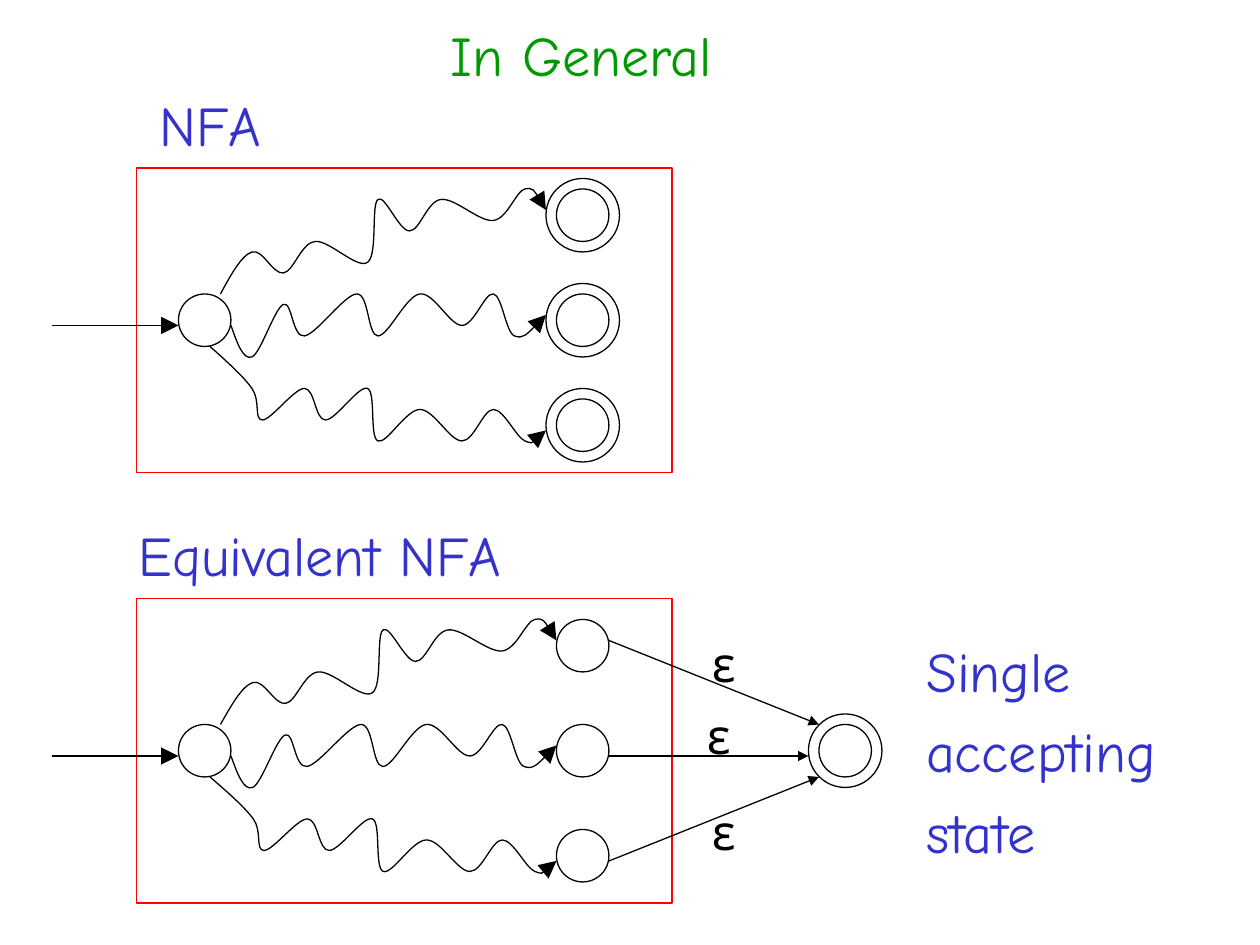
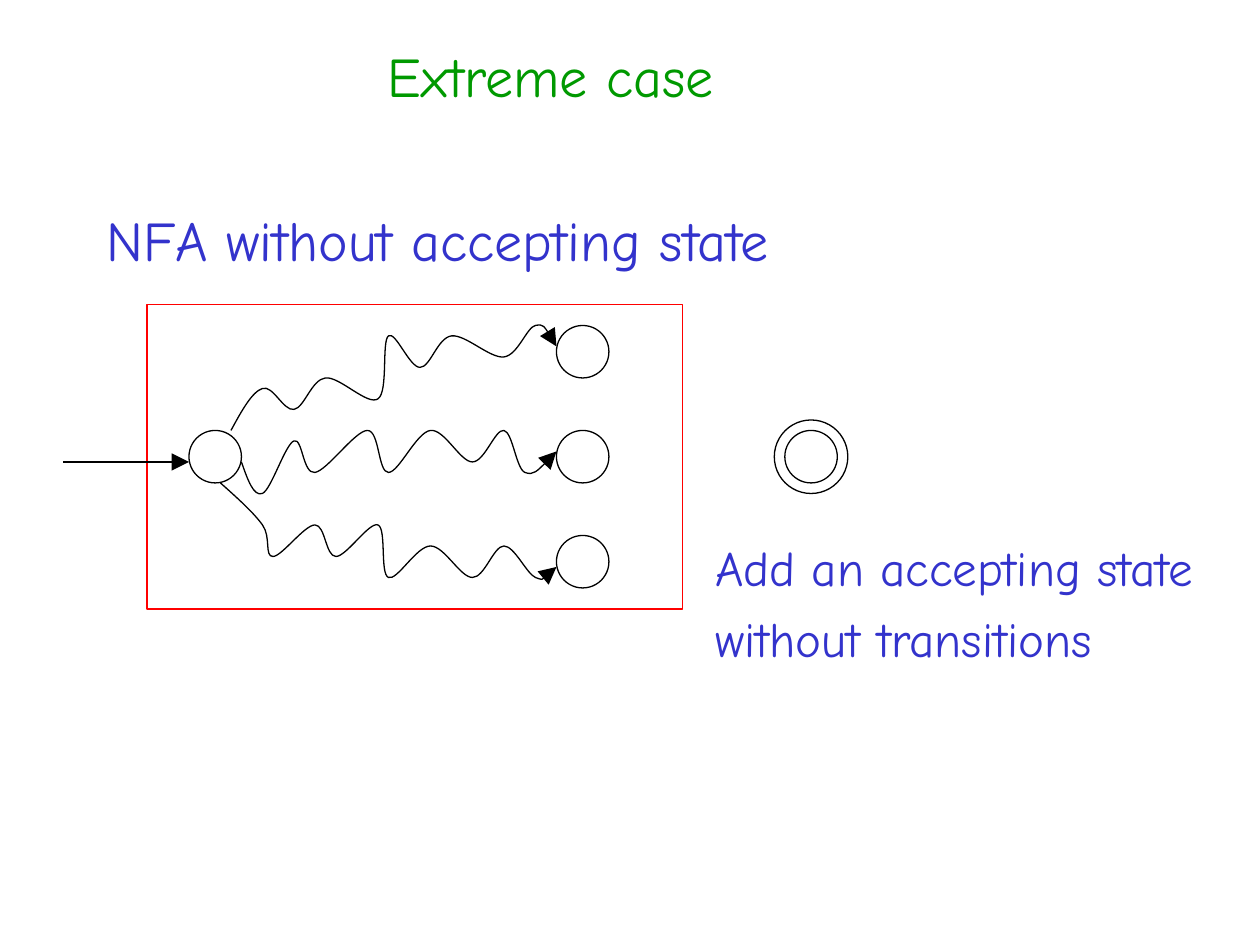
from dataclasses import dataclass

from lxml import etree
from pptx import Presentation
from pptx.dml.color import RGBColor
from pptx.enum.shapes import MSO_CONNECTOR, MSO_SHAPE
from pptx.enum.text import MSO_AUTO_SIZE
from pptx.oxml.ns import qn
from pptx.util import Cm, Pt

STRAIGHT = MSO_CONNECTOR.STRAIGHT
OVAL = MSO_SHAPE.OVAL
RECTANGLE = MSO_SHAPE.RECTANGLE
FIT_SHAPE = MSO_AUTO_SIZE.SHAPE_TO_FIT_TEXT


@dataclass(frozen=True)
class Theme:
    font: str = "Comic Neue"
    title: RGBColor = RGBColor(0x00, 0x99, 0x00)
    label: RGBColor = RGBColor(0x33, 0x33, 0xCC)
    ink: RGBColor = RGBColor(0x00, 0x00, 0x00)
    frame: RGBColor = RGBColor(0xFF, 0x00, 0x00)
    large: int = 32
    small: int = 28
    line: float = 0.75


theme = Theme()
GRID = 2.54 / 12  # diagrams sit on a grid of twelve steps to the inch
STATE, RING = 5, 7  # circle diameters in grid steps


def add_text(page, text, left, top, width, height, size=theme.large, colour=theme.label):
    """Place lines of text, with lengths in centimetres."""
    box = page.shapes.add_textbox(Cm(left), Cm(top), Cm(width), Cm(height))
    frame = box.text_frame
    frame.word_wrap = False
    frame.auto_size = FIT_SHAPE
    frame.text = text
    for para in frame.paragraphs:
        para.space_before = Pt(0.24 * size)
        para.font.name = theme.font
        para.font.size = Pt(size)
        para.font.color.rgb = colour


def style_line(item, colour=theme.ink, head=None):
    """Give a shape or connector a plain line, with an optional arrowhead."""
    item.line.color.rgb = colour
    item.line.width = Pt(theme.line)
    properties = item._element.spPr
    etree.SubElement(properties, qn("a:effectLst"))
    if head:
        etree.SubElement(properties.find(qn("a:ln")), qn("a:tailEnd"),
                         type="triangle", w=head, len=head)


deck = Presentation()
deck.slide_width, deck.slide_height = Cm(25.4), Cm(19.05)
general, extreme = [deck.slides.add_slide(deck.slide_layouts[6]) for _ in range(2)]

# Wavy paths from the start state to the three end states, in grid steps
WAVE_END = 52
waves = [
    [(21, 28), (24, 24), (27, 26), (30, 23), (35, 25), (36, 19),
     (39, 22), (42, 19), (47, 21), (50, 18), (52, 20)],
    [(22, 31), (24, 34), (27, 29), (29, 32), (34, 28), (36, 32),
     (40, 28), (44, 31), (47, 28), (49, 32), (52, 30)],
    [(20, 33), (24, 37), (25, 40), (29, 37), (31, 40), (35, 37),
     (36, 42), (40, 39), (44, 42), (47, 39), (50, 42), (52, 41)],
]

# Automata: page, shift right, shift down, whether the end states accept
automata = [(general, 0, 0, True), (general, 0, 41, False), (extreme, 1, 13, False)]
# Accepting states standing alone: page, left, top
lone_accepting = [(general, 78, 69), (extreme, 74.75, 41)]

outlines = []
arrows = []
for page, right, down, accepting in automata:
    outlines.append((page, RECTANGLE, 13 + right, 16 + down, 51, 29, theme.frame))
    states = [(17 + right, 28 + down)] + [(53, top + down) for top in (18, 28, 38)]
    outlines += [(page, OVAL, x, y, STATE, STATE, theme.ink) for x, y in states]
    if accepting:
        outlines += [(page, OVAL, x - 1, y - 1, RING, RING, theme.ink) for x, y in states[1:]]
    arrows.append((page, 5 + right, 31 + down, 17 + right, 31 + down, "lg"))

    # Smooth curves: each inner control lies a sixth of the neighbours' span away
    end = WAVE_END if accepting else WAVE_END + 1
    for wave in waves:
        first = wave[0][0]
        stretch = (end - first - right) / (WAVE_END - first)
        knots = [(first + right + (x - first) * stretch, y + down) for x, y in wave]
        slopes = [((c[0] - a[0]) / 6, (c[1] - a[1]) / 6) for a, c in zip(knots, knots[2:])]
        before = [(x - dx, y - dy) for (x, y), (dx, dy) in zip(knots[1:], slopes)]
        after = [(x + dx, y + dy) for (x, y), (dx, dy) in zip(knots[1:], slopes)]
        # The outermost controls lie halfway to their neighbours
        after.insert(0, tuple((a + b) / 2 for a, b in zip(knots[0], before[0])))
        before.append(tuple((a + b) / 2 for a, b in zip(knots[-1], after[-1])))
        points = [(Cm(x * GRID), Cm(y * GRID))
                  for trio in zip(after, before, knots[1:]) for x, y in trio]
        builder = page.shapes.build_freeform(Cm(knots[0][0] * GRID), Cm(knots[0][1] * GRID))
        builder.add_line_segments(points, close=False)
        curve = builder.convert_to_shape()
        segments = list(curve._element.iter(qn("a:lnTo")))
        for index in range(0, len(segments), 3):
            bezier = etree.Element(qn("a:cubicBezTo"))
            segments[index].addprevious(bezier)
            for segment in segments[index:index + 3]:
                bezier.append(segment[0])
                segment.getparent().remove(segment)
        curve.fill.background()
        style_line(curve, head="lg")

# States and frames
for page, x, y in lone_accepting:
    outlines.append((page, OVAL, x, y, STATE, STATE, theme.ink))
    outlines.append((page, OVAL, x - 1, y - 1, RING, RING, theme.ink))
for page, kind, *place, colour in outlines:
    shape = page.shapes.add_shape(kind, *[Cm(step * GRID) for step in place])
    shape.fill.background()
    style_line(shape, colour)

# Arrows into the start states and on to the single accepting state
arrows += [(general, 58, 61, 78, 69, "med"),
           (general, 58, 72, 77, 72, "med"),
           (general, 58, 82, 78, 74, "med")]
for page, *ends, head in arrows:
    arrow = page.shapes.add_connector(STRAIGHT, *[Cm(step * GRID) for step in ends])
    style_line(arrow, head=head)

# Wording of the general case
add_text(general, "In General", 8.84, 0.28, 6.07, 1.6, colour=theme.title)
add_text(general, "NFA", 2.97, 1.7, 2.92, 1.6)
add_text(general, "Equivalent NFA", 2.54, 10.36, 8.64, 1.6)
add_text(general, "Single\naccepting\nstate", 18.42, 12.7, 5.51, 4.85)
for left, top in [(14.1, 12.65), (14, 14.1), (14.1, 16.03)]:
    add_text(general, "ε", left, top, 0.99, 1.45, size=theme.small, colour=theme.ink)

# Wording of the extreme case
add_text(extreme, "Extreme case", 7.57, 0.71, 7.75, 1.6, colour=theme.title)
add_text(extreme, "NFA without accepting state", 1.9, 4.01, 15.75, 1.6)
add_text(extreme, "Add an accepting state\nwithout transitions", 14.17, 10.72, 11.15, 2.87,
         size=theme.small)

deck.save("out.pptx")
